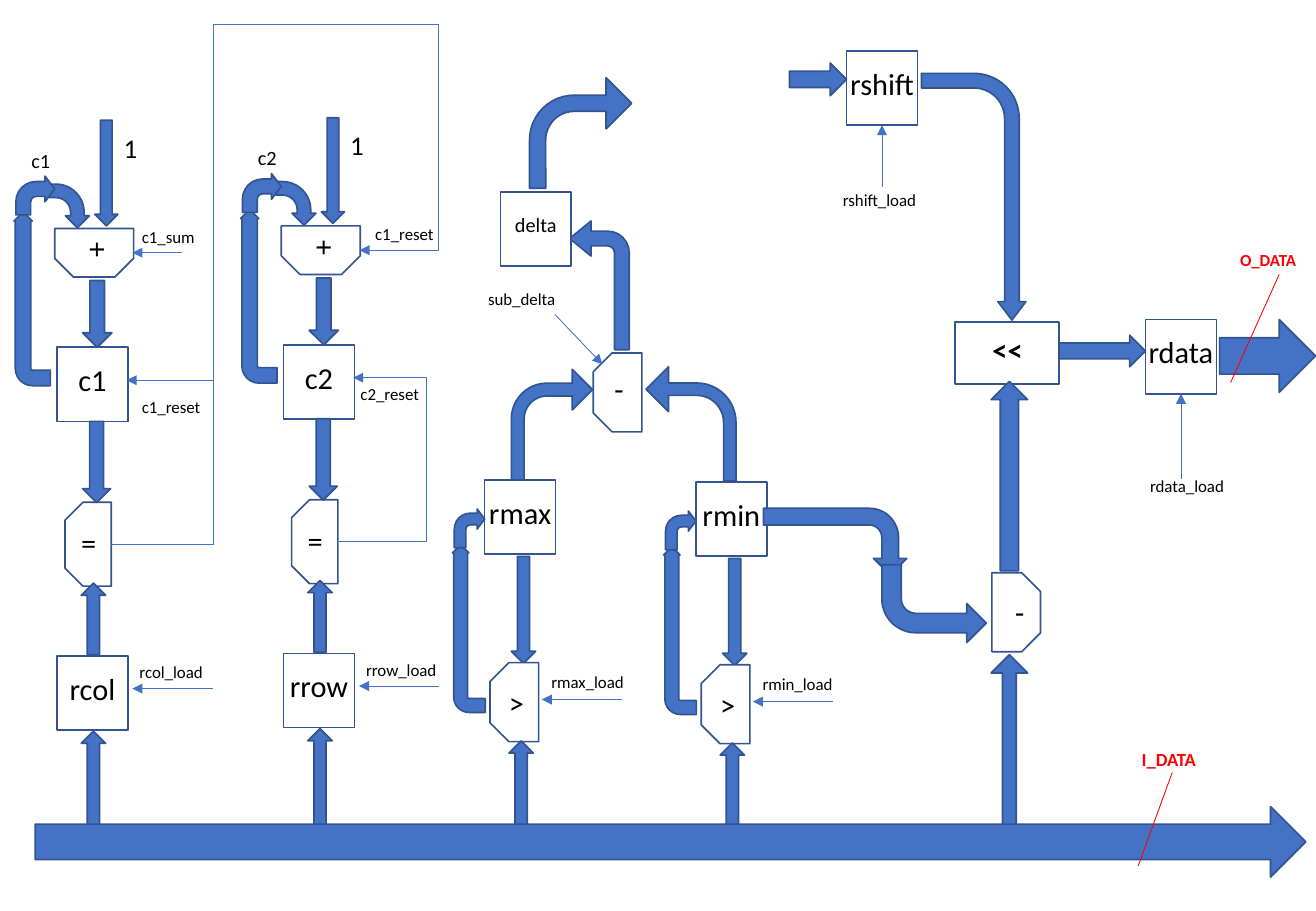
from dataclasses import dataclass, replace

from lxml import etree
from pptx import Presentation
from pptx.dml.color import RGBColor
from pptx.enum.shapes import MSO_CONNECTOR, MSO_SHAPE
from pptx.enum.text import MSO_AUTO_SIZE, PP_ALIGN
from pptx.oxml.ns import qn
from pptx.util import Pt

RECT = MSO_SHAPE.RECTANGLE
SNIP = MSO_SHAPE.SNIP_2_SAME_RECTANGLE
UP = MSO_SHAPE.UP_ARROW
DOWN = MSO_SHAPE.DOWN_ARROW
RIGHT = MSO_SHAPE.RIGHT_ARROW
BENT = MSO_SHAPE.BENT_ARROW
STRAIGHT = MSO_CONNECTOR.STRAIGHT
ELBOW = MSO_CONNECTOR.ELBOW
LEFT = PP_ALIGN.LEFT
CENTER = PP_ALIGN.CENTER

WHITE, BLACK, RED = "FFFFFF", "000000", "FF0000"
BLUE, NAVY = "4472C4", "325491"
BOTTOM = 2
FRAME = {"word_wrap": True, "auto_size": MSO_AUTO_SIZE.NONE}

RISE = (0.426, 0.25, 0.25, 0.472)
HOOK = (0.382, 0.331, 0.25, 0.522)
TURN = (0.335, 0.298, 0.298, 0.702)
CURVE = (0.158, 0.25, 0.25, 0.438)


@dataclass
class Box:
    kind: MSO_SHAPE
    x: float
    y: float
    w: float
    h: float
    adj: tuple[float, ...] = ()
    rot: float = 0
    flip: str = ""
    fill: str = BLUE
    name: str = ""


@dataclass
class Note:
    text: str
    x: float
    y: float
    w: float = 60.5
    size: float = 10
    align: PP_ALIGN = LEFT
    rot: float = 0
    color: str = BLACK
    bold: bool = False


@dataclass
class Wire:
    x: float
    y: float
    x2: float
    y2: float
    color: str = BLUE
    head: bool = True
    reach: float = 0  # distance from the start to the bend
    goal: str = ""


Part = Box | Note | Wire


def tall(size: float) -> float:
    """Height of a one-line text box."""
    return size * 1.2 + 7.2


def store(name: str, x: float, y: float, size: float = 18) -> list[Part]:
    """A register: a square with its name."""
    return [Box(RECT, x, y, 42, 44, fill=WHITE, name=name),
            Note(name, x - 19, y + 19.2 - tall(size) / 2, 80, size, CENTER)]


def unit(x: float, y: float, rot: float, w: float = 46.8, h: float = 28.8) -> Box:
    """An arithmetic unit: a block with two cut corners."""
    return Box(SNIP, x, y, w, h, (0.386, 0), rot, fill=WHITE)


def shift(parts: list[Part], dx: float, dy: float) -> list[Part]:
    moved = []
    for p in parts:
        p = replace(p, x=p.x + dx, y=p.y + dy)
        if isinstance(p, Wire):
            p = replace(p, x2=p.x2 + dx, y2=p.y2 + dy)
        moved.append(p)
    return moved


def count(name: str, limit: str, reach: float) -> list[Part]:
    """A counter with its adder, comparator and limit register."""
    return [
        *store(limit, 33.8, 388.8),
        Wire(126, 408.2, 78.5, 408.2), Note(f"{limit}_load", 75.6, 388.8),
        Box(UP, 48.2, 433.4, 14.4, 63.4),
        *store(name, 33.8, 205.9),
        unit(32.4, 135.4, 180), Note("+", 43.2, 132.5, 25.9, 18, rot=270),
        unit(27.4, 308.9, 270, 49.7, 27.4), Note("=", 41, 307.4, 24.5, 18),
        Box(UP, 48.2, 345.6, 14.4, 42.5),
        Box(DOWN, 49, 249.8, 16.6, 48.2),
        Wire(65.5, 322.6, 75, 225.4, reach=reach),
        Box(DOWN, 49, 166.3, 17.3, 39.6),
        Box(BENT, 28.1, 110.2, 25.9, 23.8, TURN, 90),
        Box(BENT, -32.4, 166.3, 103, 21.6, RISE, 270),
        Box(BENT, 9.4, 104.4, 23, 23, HOOK),
        Box(DOWN, 56.2, 71.3, 13.7, 62.6),
        Note("1", 66.2, 74.2, size=16), Note(name, 11.5, 84.2, size=12)]


def bound(name: str) -> list[Part]:
    """A register that keeps the largest or smallest value."""
    return [
        *store(name, 287.3, 284.4),
        Wire(368.6, 414.7, 321.1, 414.7), Note(f"{name}_load", 319.7, 394.6),
        Box(DOWN, 303.1, 329.8, 14.4, 63.4),
        unit(281.5, 401.8, 270), Note(">", 294.5, 401.8, 25.9, 18),
        Box(UP, 301.7, 439.2, 14.4, 57.6),
        Box(BENT, 228.2, 362.9, 99.4, 19.4, RISE, 270),
        Box(BENT, 269.3, 301.7, 18, 23, HOOK)]


PARTS: list[Part] = [
    *count("c1", "rcol", 61.2),
    Wire(108, 149.8, 78.5, 149.8), Note("c1_sum", 77, 131), Note("c1_reset", 77, 231.8),
    *shift(count("c2", "rrow", 52.7), 134.3, -1.5),
    Wire(259.9, 148.3, 213.1, 148.3), Note("c1_reset", 215.3, 128.9),
    Note("c2_reset", 206.6, 223.9),
    Wire(126.5, 242.6, 126.5, 14.4, head=False),
    Wire(126, 14.4, 259.9, 14.4, head=False),
    Wire(259.9, 149, 259.9, 14.4, head=False),
    *bound("rmax"),
    *shift(bound("rmin"), 125.2, 1.2),
    unit(342.7, 218.2, 270), Note("-", 357.1, 216, 34.6, 18),
    Box(BENT, 303.1, 218.9, 48.2, 65.5, CURVE),
    Box(BENT, 383, 217.4, 53.3, 67.7, (0.138, 0.25, 0.25, 0.438), flip="flipH"),
    Box(BENT, 337.7, 131, 35.3, 76.3, (0.247, 0.295, 0.358, 0.365), flip="flipH"),
    Wire(329, 186.5, 357.1, 216), Note("sub_delta", 282.2, 167.8),
    *store("delta", 296.6, 113.8, 12),
    Box(BENT, 313.9, 46.1, 60.5, 65.5, CURVE),
    *store("rshift", 501.8, 30.2),
    Box(RIGHT, 468, 37.4, 33.8, 19.4),
    Wire(522.8, 110.9, 522.8, 74.2, goal="rshift"), Note("rshift_load", 492.5, 108.7),
    *store("rdata", 679, 189.4),
    Wire(700, 283.7, 700, 233.4, goal="rdata"), Note("rdata_load", 674.6, 278.6, 67),
    Box(RECT, 565.9, 190.8, 61.9, 36.7, fill=WHITE),
    Note("<<", 565.9, 193, 62.6, 18, CENTER, bold=True),
    unit(578.9, 348.5, 90), Note("-", 579.6, 352.1, 34.6, 18, rot=180),
    Box(BENT, 504, 85.7, 146.2, 61.9, (0.14, 0.134, 0.176, 0.432), 90),
    Box(UP, 587.5, 226.1, 21.6, 112.3),
    Box(BENT, 475.2, 278.6, 39.6, 85, rot=90),
    Box(BENT, 522.7, 334.8, 61.9, 46.1, flip="flipV"),
    Box(UP, 587.5, 388.1, 21.6, 108.7, (0.38, 0.5)),
    Box(RIGHT, 627.8, 198.7, 51.1, 18.7),
    Box(RIGHT, 722.9, 189.4, 56.9, 43.2),
    Box(RIGHT, 20.9, 478.1, 753.1, 41.8),
    Wire(674.6, 513.4, 694.8, 457.9, RED, False),
    Wire(729.4, 226.8, 758.2, 162.7, RED, False),
    Note("I_DATA", 669.6, 439.9, size=11, color=RED, bold=True),
    Note("O_DATA", 727.9, 144.7, color=RED, bold=True)]


def paint(fmt, color: str) -> None:
    fmt.solid()
    fmt.fore_color.rgb = RGBColor.from_string(color)


def assign(item, values: dict) -> None:
    for key, value in values.items():
        setattr(item, key, value)


def draw_box(shapes, box: Box, named: dict) -> None:
    shape = shapes.add_shape(box.kind, Pt(box.x), Pt(box.y), Pt(box.w), Pt(box.h))
    for i, value in enumerate(box.adj):
        shape.adjustments[i] = value
    shape.shadow.inherit = False
    shape.rotation = box.rot
    if box.flip:
        shape._element.spPr.find(qn("a:xfrm")).set(box.flip, "1")
    paint(shape.fill, box.fill)
    paint(shape.line.fill, NAVY)
    shape.line.width = Pt(1)
    if box.name:
        named[box.name] = shape


def draw_note(shapes, note: Note) -> None:
    shape = shapes.add_textbox(Pt(note.x), Pt(note.y), Pt(note.w), Pt(tall(note.size)))
    shape.rotation = note.rot
    assign(shape.text_frame, FRAME)
    para = shape.text_frame.paragraphs[0]
    para.alignment = note.align
    run = para.add_run()
    run.text = note.text
    assign(run.font, {"name": "Calibri", "size": Pt(note.size), "bold": note.bold})
    paint(run.font.fill, note.color)


def draw_wire(shapes, wire: Wire, named: dict) -> None:
    kind = ELBOW if wire.reach else STRAIGHT
    line = shapes.add_connector(kind, Pt(wire.x), Pt(wire.y), Pt(wire.x2), Pt(wire.y2))
    paint(line.line.fill, wire.color)
    line.line.width = Pt(0.5)
    props = line._element.spPr
    if wire.reach:
        ratio = wire.reach / (wire.x2 - wire.x)
        guides = props.find(qn("a:prstGeom")).get_or_add_avLst()
        etree.SubElement(guides, qn("a:gd"), name="adj1", fmla=f"val {ratio * 100000:.0f}")
    if wire.head:
        etree.SubElement(props.find(qn("a:ln")), qn("a:tailEnd"), type="triangle")
    etree.SubElement(props, qn("a:effectLst"))
    if wire.goal:
        line.end_connect(named[wire.goal], BOTTOM)


def main() -> None:
    deck = Presentation()
    assign(deck, {"slide_width": Pt(780), "slide_height": Pt(540)})
    shapes = deck.slides.add_slide(deck.slide_layouts[6]).shapes
    named = {}
    for part in PARTS:
        if isinstance(part, Box):
            draw_box(shapes, part, named)
        elif isinstance(part, Note):
            draw_note(shapes, part)
        else:
            draw_wire(shapes, part, named)
    deck.save("out.pptx")


if __name__ == "__main__":
    main()
